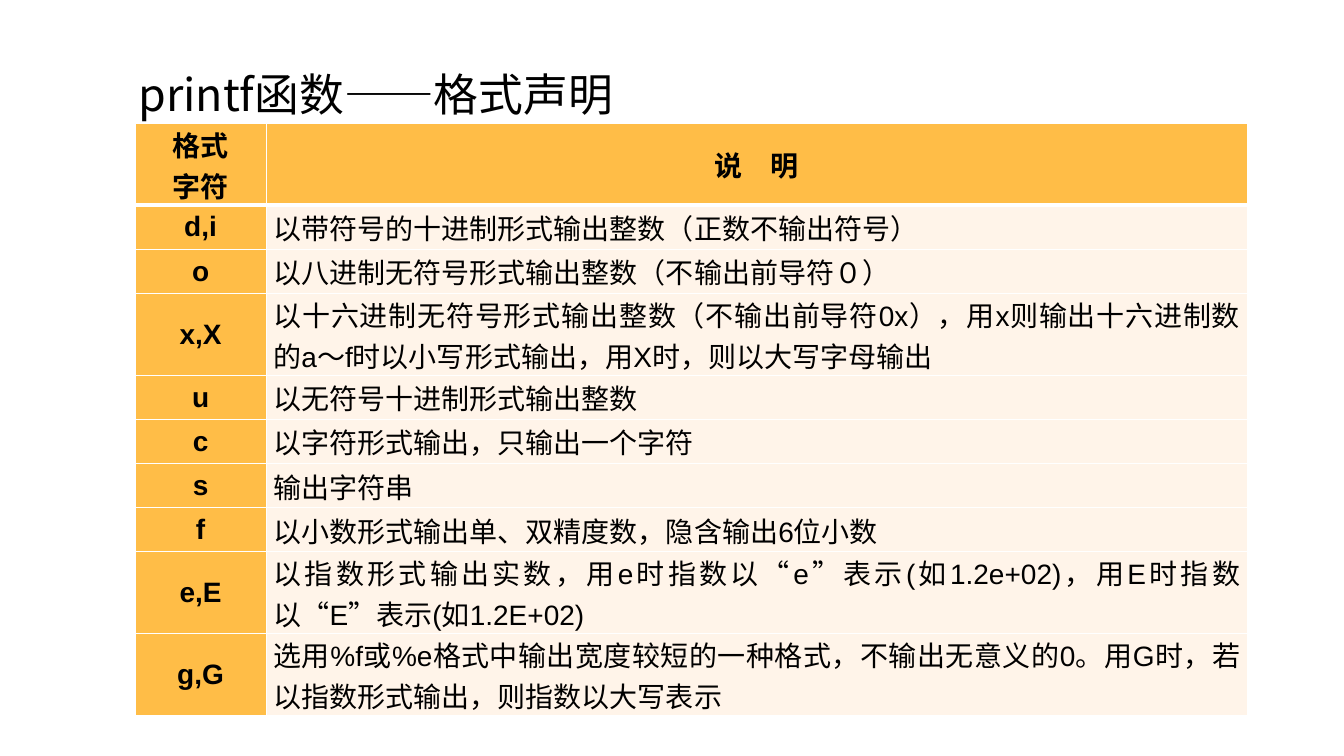
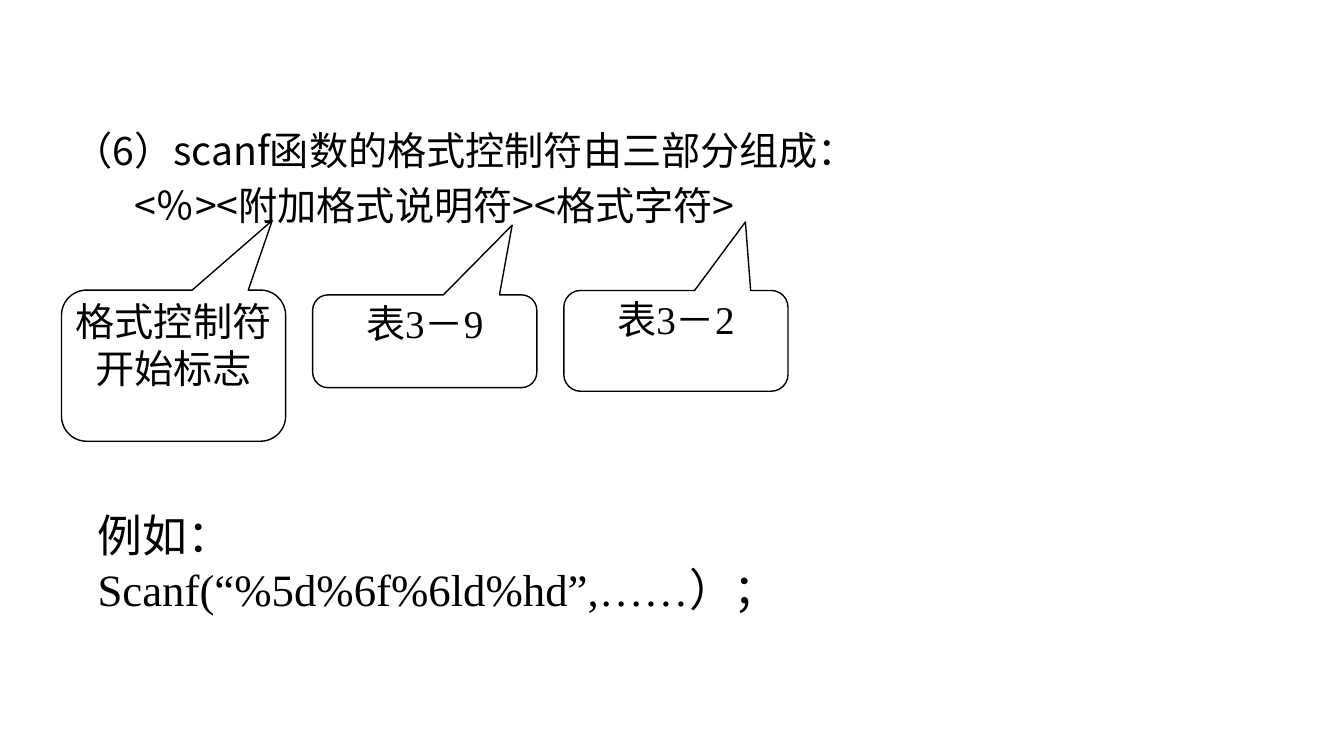
from lxml import etree
from pptx import Presentation
from pptx.dml.color import RGBColor
from pptx.enum.shapes import MSO_SHAPE
from pptx.enum.text import MSO_ANCHOR, MSO_AUTO_SIZE, PP_ALIGN
from pptx.oxml.ns import qn
from pptx.util import Cm, Pt

BLACK = RGBColor(0x00, 0x00, 0x00)
WHITE = RGBColor(0xFF, 0xFF, 0xFF)
ORANGE = RGBColor(0xFF, 0xBD, 0x47)
CREAM = RGBColor(0xFF, 0xF4, 0xE9)

SANS = "Noto Sans CJK SC"
SERIF = "Times New Roman"
TABLE_FONT = "Arial"

CALLOUT = MSO_SHAPE.ROUNDED_RECTANGULAR_CALLOUT
MIDDLE, TOP = MSO_ANCHOR.MIDDLE, MSO_ANCHOR.TOP
LEFT, CENTER, JUSTIFY = PP_ALIGN.LEFT, PP_ALIGN.CENTER, PP_ALIGN.JUSTIFY
NO_AUTOFIT = MSO_AUTO_SIZE.NONE
FIT_SHAPE = MSO_AUTO_SIZE.SHAPE_TO_FIT_TEXT

TITLE_ONLY, TITLE_AND_CONTENT = 5, 1

HEADER = ("格式\n字符", "说　明")
FORMATS = [
    ("d,i", "以带符号的十进制形式输出整数（正数不输出符号）"),
    ("o", "以八进制无符号形式输出整数（不输出前导符０）"),
    ("x,X", "以十六进制无符号形式输出整数（不输出前导符0x），用x则输出十六进制数的"
            "a～f时以小写形式输出，用X时，则以大写字母输出"),
    ("u", "以无符号十进制形式输出整数"),
    ("c", "以字符形式输出，只输出一个字符"),
    ("s", "输出字符串"),
    ("f", "以小数形式输出单、双精度数，隐含输出6位小数"),
    ("e,E", "以指数形式输出实数，用e时指数以“e”表示(如1.2e+02)，"
            "用E时指数以“E”表示(如1.2E+02)"),
    ("g,G", "选用%f或%e格式中输出宽度较短的一种格式，不输出无意义的0。"
            "用G时，若以指数形式输出，则指数以大写表示"),
]
COLUMN_WIDTHS = (3.31, 24.72)
ONE_LINE, TWO_LINES = 1.11, 2.07
ROW_HEIGHTS = (TWO_LINES, ONE_LINE, ONE_LINE, TWO_LINES, ONE_LINE,
               ONE_LINE, ONE_LINE, ONE_LINE, TWO_LINES, TWO_LINES)
TABLE_LINE_PITCH = Pt(29.3)

# text, top, height, pointer offset across and down
CALLOUTS = [
    ("格式控制符开始标志", 7.31, 3.81, 0.44, -0.96),
    ("表3－9", 7.43, 2.34, 0.39, -1.25),
    ("表3－2", 7.32, 2.54, 0.31, -1.18),
]
CALLOUT_LEFT, CALLOUT_WIDTH, CALLOUT_STEP = 1.55, 5.65, 6.33


def place(shape, left, top, width, height):
    shape.left, shape.top = Cm(left), Cm(top)
    shape.width, shape.height = Cm(width), Cm(height)


def add_span(para, text, size, font, bold=False):
    """Add a run with its Latin font; Chinese text is always sans serif."""
    span = para.add_run()
    span.text = text
    span.font.size = Pt(size)
    span.font.bold = bold
    span.font.color.rgb = BLACK
    span.font.name = font
    etree.SubElement(span.font._element, qn("a:ea"), typeface=SANS)


def add_lines(frame, lines, size, font, align=LEFT, bold=False):
    """Write one paragraph per line and return the paragraphs."""
    for number, line in enumerate(lines):
        para = frame.add_paragraph() if number else frame.paragraphs[0]
        para.alignment = align
        add_span(para, line, size, font, bold)
    return frame.paragraphs


def set_margins(target, side, vertical=0):
    target.margin_left = target.margin_right = Cm(side)
    target.margin_top = target.margin_bottom = Cm(vertical)


def set_title(page, text):
    title = page.shapes.title
    place(title, 3.23, 0.61, 16.46, 3.68)
    frame = title.text_frame
    frame.auto_size = NO_AUTOFIT
    frame.vertical_anchor = MIDDLE
    para, = add_lines(frame, [text], 32, SANS)
    para.line_spacing = 0.9


def set_border(cell, side, points):
    line = etree.SubElement(cell._tc.get_or_add_tcPr(), qn("a:" + side), w=str(Pt(points)))
    fill = etree.SubElement(line, qn("a:solidFill"))
    etree.SubElement(fill, qn("a:srgbClr"), val=str(WHITE))


def fill_cell(cell, text, color, align, bold, bottom_border):
    for side in ("lnL", "lnR", "lnT"):
        set_border(cell, side, 1)
    set_border(cell, "lnB", bottom_border)
    cell.fill.solid()
    cell.fill.fore_color.rgb = color
    cell.vertical_anchor = MIDDLE
    set_margins(cell, 0.18)
    paras = add_lines(cell.text_frame, text.split("\n"), 20, TABLE_FONT, align, bold)
    if not text.isascii():
        for para in paras:
            para.line_spacing = TABLE_LINE_PITCH


def add_format_table(page):
    rows = [HEADER, *FORMATS]
    table = page.shapes.add_table(
        len(rows), len(HEADER), Cm(3.4), Cm(3.1),
        Cm(sum(COLUMN_WIDTHS)), Cm(sum(ROW_HEIGHTS))).table
    for column, width in zip(table.columns, COLUMN_WIDTHS):
        column.width = Cm(width)
    for row, height in zip(table.rows, ROW_HEIGHTS):
        row.height = Cm(height)
    for row_number, texts in enumerate(rows):
        for column_number, text in enumerate(texts):
            heading = row_number == 0 or column_number == 0
            fill_cell(table.cell(row_number, column_number), text,
                      ORANGE if heading else CREAM,
                      CENTER if heading else JUSTIFY,
                      heading, 1 if row_number else 3)


def set_body(page, lines, indents):
    """Fill the body; indents holds left margin and first-line indent in cm."""
    body = page.placeholders[1]
    place(body, 1.6, 3.18, 31.83, 15.29)
    frame = body.text_frame
    frame.auto_size = NO_AUTOFIT
    paras = add_lines(frame, lines, 28, SANS)
    for number, (para, (margin, indent)) in enumerate(zip(paras, indents)):
        properties = para._p.get_or_add_pPr()
        properties.set("marL", str(Cm(margin)))
        properties.set("indent", str(Cm(indent)))
        etree.SubElement(properties, qn("a:buNone"))
        para.line_spacing = 0.9
        para.space_before = Pt(9 if number else 0)


def add_callout(page, left, text, top, height, across, down):
    callout = page.shapes.add_shape(
        CALLOUT, Cm(left), Cm(top), Cm(CALLOUT_WIDTH), Cm(height))
    callout.adjustments[0] = across
    callout.adjustments[1] = down
    callout.shadow.inherit = False
    callout.fill.background()
    callout.line.color.rgb = BLACK
    callout.line.width = Pt(1)
    frame = callout.text_frame
    frame.word_wrap = True
    frame.vertical_anchor = TOP
    set_margins(frame, 0)
    add_lines(frame, [text], 28, SERIF, CENTER)


def add_example(page, lines):
    box = page.shapes.add_textbox(Cm(2.21), Cm(12.67), Cm(17.83), Cm(3))
    frame = box.text_frame
    frame.word_wrap = False
    frame.auto_size = FIT_SHAPE
    add_lines(frame, lines, 32, SERIF)


def build_printf_page(deck):
    page = deck.slides.add_slide(deck.slide_layouts[TITLE_ONLY])
    set_title(page, "printf函数——格式声明")
    add_format_table(page)


def build_scanf_page(deck):
    page = deck.slides.add_slide(deck.slide_layouts[TITLE_AND_CONTENT])
    title = page.shapes.title._element
    title.getparent().remove(title)
    set_body(page,
             ["（6）scanf函数的格式控制符由三部分组成：",
              "<％><附加格式说明符><格式字符>"],
             [(1.7, -1.7), (1.53, 0)])
    for number, callout in enumerate(CALLOUTS):
        add_callout(page, CALLOUT_LEFT + number * CALLOUT_STEP, *callout)
    add_example(page, ["例如：", "Scanf(“%5d%6f%6ld%hd”,……）；"])


def main():
    deck = Presentation()
    deck.slide_width, deck.slide_height = Cm(33.87), Cm(19.05)
    build_printf_page(deck)
    build_scanf_page(deck)
    deck.save("out.pptx")


if __name__ == "__main__":
    main()
